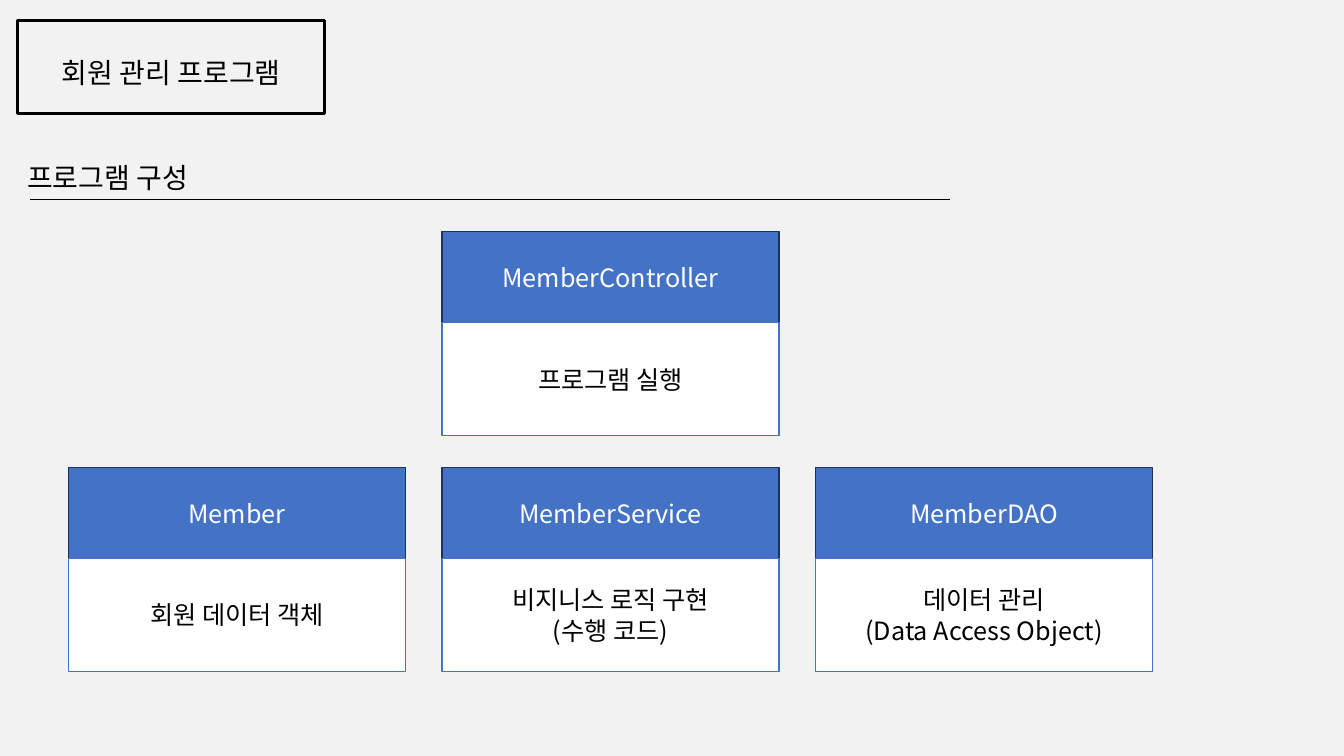
from dataclasses import dataclass

from lxml import etree
from pptx import Presentation
from pptx import util as u
from pptx.dml.color import RGBColor
from pptx.enum import shapes, text
from pptx.oxml.ns import qn
from pptx.shapes.autoshape import Shape
from pptx.slide import Slide
from pptx.text.text import TextFrame

FONT = "Noto Sans CJK KR"
BLACK = RGBColor(0x00, 0x00, 0x00)
WHITE = RGBColor(0xFF, 0xFF, 0xFF)
BACKGROUND = RGBColor(0xF2, 0xF2, 0xF2)
BLUE = RGBColor(0x44, 0x72, 0xC4)
NAVY = RGBColor(0x1E, 0x32, 0x56)

CARD_LEFT, CARD_TOP = 0.68, 2.3
CARD_WIDTH, HEADER_HEIGHT, BODY_HEIGHT = 3.34, 0.9, 1.12
COLUMN_STEP, ROW_STEP = 3.705, 2.34


@dataclass(frozen=True)
class Card:
    name: str
    role: str
    column: int
    row: int


CARDS = [
    Card("MemberController", "프로그램 실행", 1, 0),
    Card("Member", "회원 데이터 객체", 0, 1),
    Card("MemberService", "비지니스 로직 구현\n(수행 코드)", 1, 1),
    Card("MemberDAO", "데이터 관리\n(Data Access Object)", 2, 1),
]


def write_text(
    tf: TextFrame,
    content: str,
    size: int,
    color: RGBColor,
    align: text.PP_ALIGN = text.PP_ALIGN.CENTER,
    anchor: text.MSO_ANCHOR = text.MSO_ANCHOR.MIDDLE,
) -> None:
    tf.text = content
    tf.word_wrap = True
    tf.vertical_anchor = anchor
    for p in tf.paragraphs:
        p.alignment = align
        for r in p.runs:
            r.font.size = u.Pt(size)
            r.font.name = FONT
            r.font.color.rgb = color
            east_asian = etree.SubElement(r.font._element, qn("a:ea"))
            east_asian.set("typeface", FONT)


def place(sp: Shape, left: float, top: float, width: float, height: float) -> None:
    sp.left, sp.top = u.Inches(left), u.Inches(top)
    sp.width, sp.height = u.Inches(width), u.Inches(height)


def add_box(
    s: Slide,
    left: float,
    top: float,
    width: float,
    height: float,
    fill: RGBColor | None,
    line: RGBColor,
    line_width: float = 1,
) -> Shape:
    sp = s.shapes.add_shape(shapes.MSO_SHAPE.RECTANGLE, 0, 0, 0, 0)
    place(sp, left, top, width, height)
    sp.shadow.inherit = False
    if fill is None:
        sp.fill.background()
    else:
        sp.fill.solid()
        sp.fill.fore_color.rgb = fill
    sp.line.color.rgb = line
    sp.line.width = u.Pt(line_width)
    return sp


def add_title(s: Slide) -> None:
    title = s.shapes.title
    place(title, 0.25, 0.5, 2.9, 0.44)
    write_text(title.text_frame, "회원 관리 프로그램", 20, BLACK)
    add_box(s, 0.17, 0.2, 3.05, 0.93, None, BLACK, 2)


def add_section_heading(s: Slide) -> None:
    heading = s.shapes.add_textbox(0, 0, 0, 0)
    place(heading, 0.17, 1.54, 3.34, 0.44)
    write_text(heading.text_frame, "프로그램 구성", 20, BLACK,
               text.PP_ALIGN.LEFT, text.MSO_ANCHOR.TOP)
    rule = s.shapes.add_connector(
        shapes.MSO_CONNECTOR.STRAIGHT,
        u.Inches(0.3), u.Inches(1.98), u.Inches(9.42), u.Inches(1.98),
    )
    rule.line.color.rgb = BLACK
    rule.line.width = u.Pt(1.25)
    etree.SubElement(rule._element.spPr, qn("a:effectLst"))


def add_card(s: Slide, card: Card) -> None:
    """Draw a class name header above a box that states its role."""
    left = CARD_LEFT + card.column * COLUMN_STEP
    top = CARD_TOP + card.row * ROW_STEP
    header = add_box(s, left, top, CARD_WIDTH, HEADER_HEIGHT, BLUE, NAVY)
    write_text(header.text_frame, card.name, 18, WHITE)
    body = add_box(s, left, top + HEADER_HEIGHT, CARD_WIDTH, BODY_HEIGHT, WHITE, BLUE)
    write_text(body.text_frame, card.role, 18, BLACK)


def main() -> None:
    prs = Presentation()
    prs.slide_width, prs.slide_height = u.Inches(13.33), u.Inches(7.5)
    s = prs.slides.add_slide(prs.slide_layouts.get_by_name("Title Only"))
    s.background.fill.solid()
    s.background.fill.fore_color.rgb = BACKGROUND
    add_title(s)
    add_section_heading(s)
    for card in CARDS:
        add_card(s, card)
    prs.save("out.pptx")


if __name__ == "__main__":
    main()
